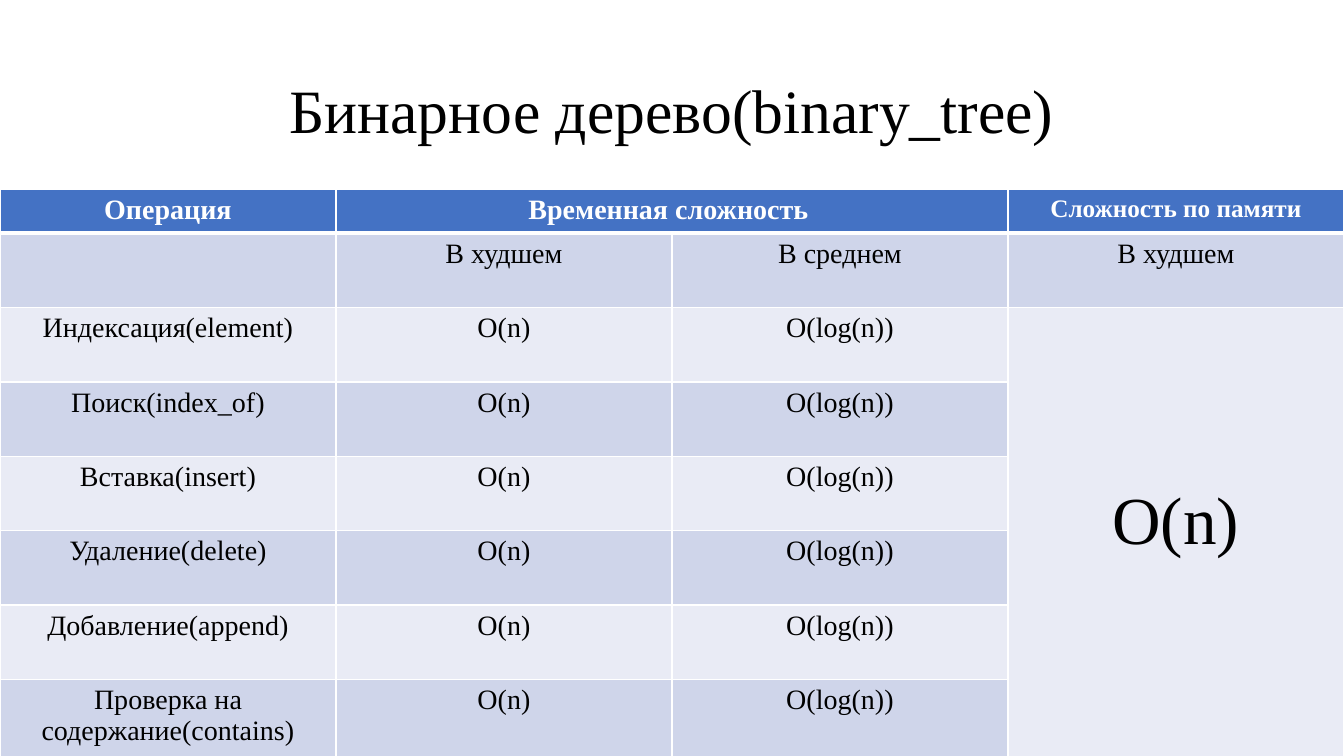
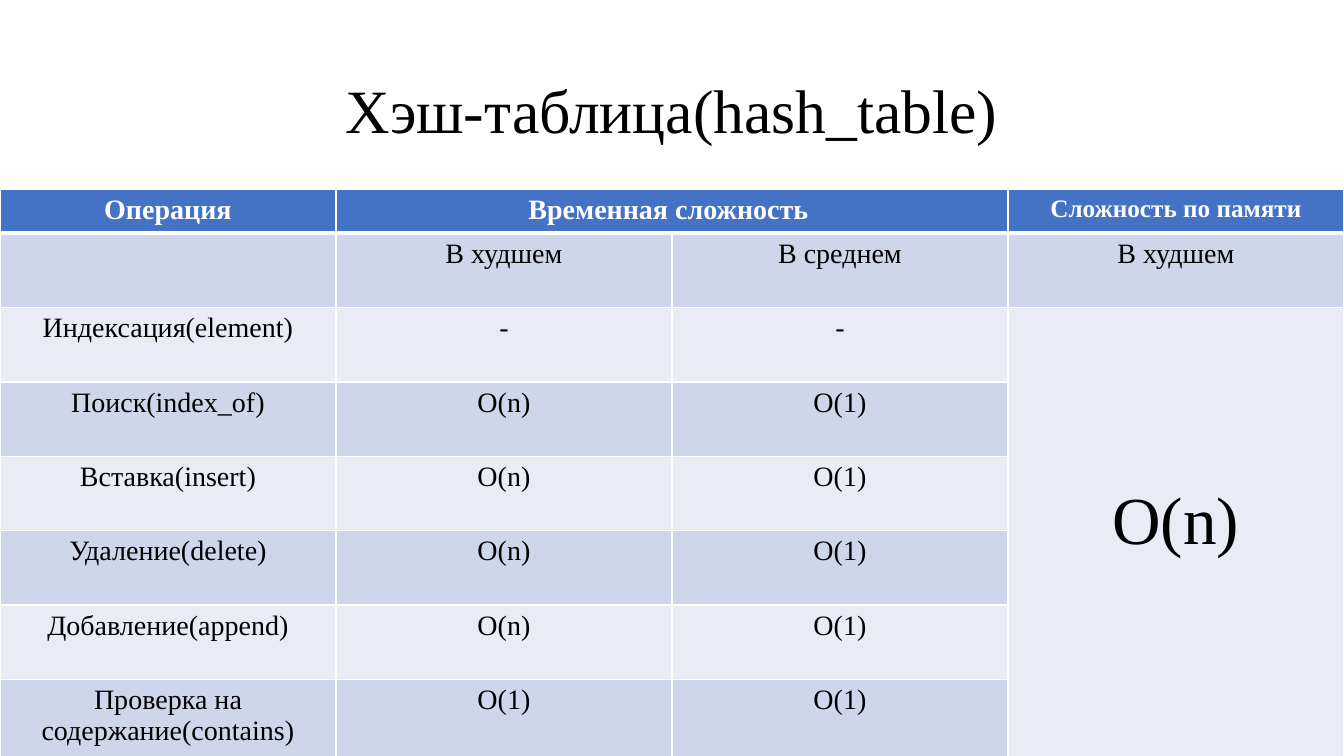
from lxml import etree
from pptx import Presentation
from pptx.dml.color import RGBColor
from pptx.enum.text import MSO_ANCHOR, PP_ALIGN
from pptx.oxml.ns import qn
from pptx.util import Pt

CENTER = PP_ALIGN.CENTER
MIDDLE = MSO_ANCHOR.MIDDLE
TOP = MSO_ANCHOR.TOP

WIDTH, HEIGHT = 960, 540
TABLE_TOP = 135.4
HEADER_HEIGHT, ROW_HEIGHT = 29, 53.1

HEADERS = ["Операция", "Временная сложность ", "", "Сложность по памяти"]
CASES = ["", "В худшем", "В среднем", "В худшем"]
OPERATIONS = [
    "Индексация(element)",
    "Поиск(index_of)",
    "Вставка(insert)",
    "Удаление(delete)",
    "Добавление(append)",
    "Проверка на содержание(contains)",
]
STRUCTURES = [
    ("Бинарное дерево(binary_tree)", [("O(n)", "O(log(n))")] * 6, "O(n)"),
    (
        "Хэш-таблица(hash_table)",
        [("-", "-")] + [("O(n)", "O(1)")] * 4 + [("O(1)", "O(1)")],
        "O(n)",
    ),
]


def rgb(value):
    return RGBColor.from_string(value)


class Deck:
    font = "Times New Roman"
    ink = "000000"
    white = "FFFFFF"
    header = "4472C4"
    bands = ("E9EBF5", "CFD5EA")

    def __init__(self):
        self.prs = Presentation()
        self.prs.slide_width = Pt(WIDTH)
        self.prs.slide_height = Pt(HEIGHT)
        self.s = None

    def slide(self):
        self.s = self.prs.slides.add_slide(self.prs.slide_layouts[6])

    def text(self, tf, text, size, color, bold=False):
        p = tf.paragraphs[0]
        p.alignment = CENTER
        if text:
            r = p.add_run()
            r.text = text
            r.font.name = self.font
            r.font.size = Pt(size)
            r.font.bold = bold
            r.font.color.rgb = rgb(color)
        return p

    def title(self, text):
        sp = self.s.shapes.add_textbox(Pt(66), Pt(28.8), Pt(828), Pt(104.4))
        tf = sp.text_frame
        tf.word_wrap = True
        tf.vertical_anchor = MIDDLE
        self.text(tf, text, 44, self.ink).line_spacing = 0.9

    def borders(self, cell, top, bottom):
        tc_pr = cell._tc.get_or_add_tcPr()
        widths = {"a:lnL": 1, "a:lnR": 1, "a:lnT": top, "a:lnB": bottom}
        for i, (tag, width) in enumerate(widths.items()):
            ln = etree.Element(qn(tag), w=str(int(Pt(width))))
            fill = etree.SubElement(ln, qn("a:solidFill"))
            etree.SubElement(fill, qn("a:srgbClr"), val=self.white)
            tc_pr.insert(i, ln)

    def cell(self, cell, row, text, size):
        is_header = row == 0
        cell.fill.solid()
        cell.fill.fore_color.rgb = rgb(self.header if is_header else self.bands[row % 2])
        cell.vertical_anchor = TOP
        color = self.white if is_header else self.ink
        self.text(cell.text_frame, text, size, color, is_header)
        self.borders(cell, 3 if row == 1 else 1, 3 if is_header else 1)

    def table(self, rows, memory):
        count, columns = len(rows), len(rows[0])
        height = HEADER_HEIGHT + ROW_HEIGHT * (count - 1)
        table = self.s.shapes.add_table(
            count, columns, Pt(0), Pt(TABLE_TOP), Pt(WIDTH), Pt(height)
        ).table
        table.horz_banding = False
        for column in table.columns:
            column.width = Pt(WIDTH / columns)
        for i, values in enumerate(rows):
            table.rows[i].height = Pt(ROW_HEIGHT if i else HEADER_HEIGHT)
            for j, text in enumerate(values):
                size = 48 if (i, j) == memory else 20
                if (i, j) == (0, columns - 1):
                    size = 18
                self.cell(table.cell(i, j), i, text, size)
        table.cell(0, 1).merge(table.cell(0, 2))
        total = table.cell(*memory)
        total.merge(table.cell(count - 1, memory[1]))
        total.vertical_anchor = MIDDLE
        total.margin_bottom = Pt(18)


def main():
    deck = Deck()
    for name, times, memory in STRUCTURES:
        rows = [HEADERS, CASES]
        for i, (operation, pair) in enumerate(zip(OPERATIONS, times)):
            rows.append([operation, *pair, "" if i else memory])
        deck.slide()
        deck.title(name)
        deck.table(rows, (2, 3))
    deck.prs.save("out.pptx")


if __name__ == "__main__":
    main()
